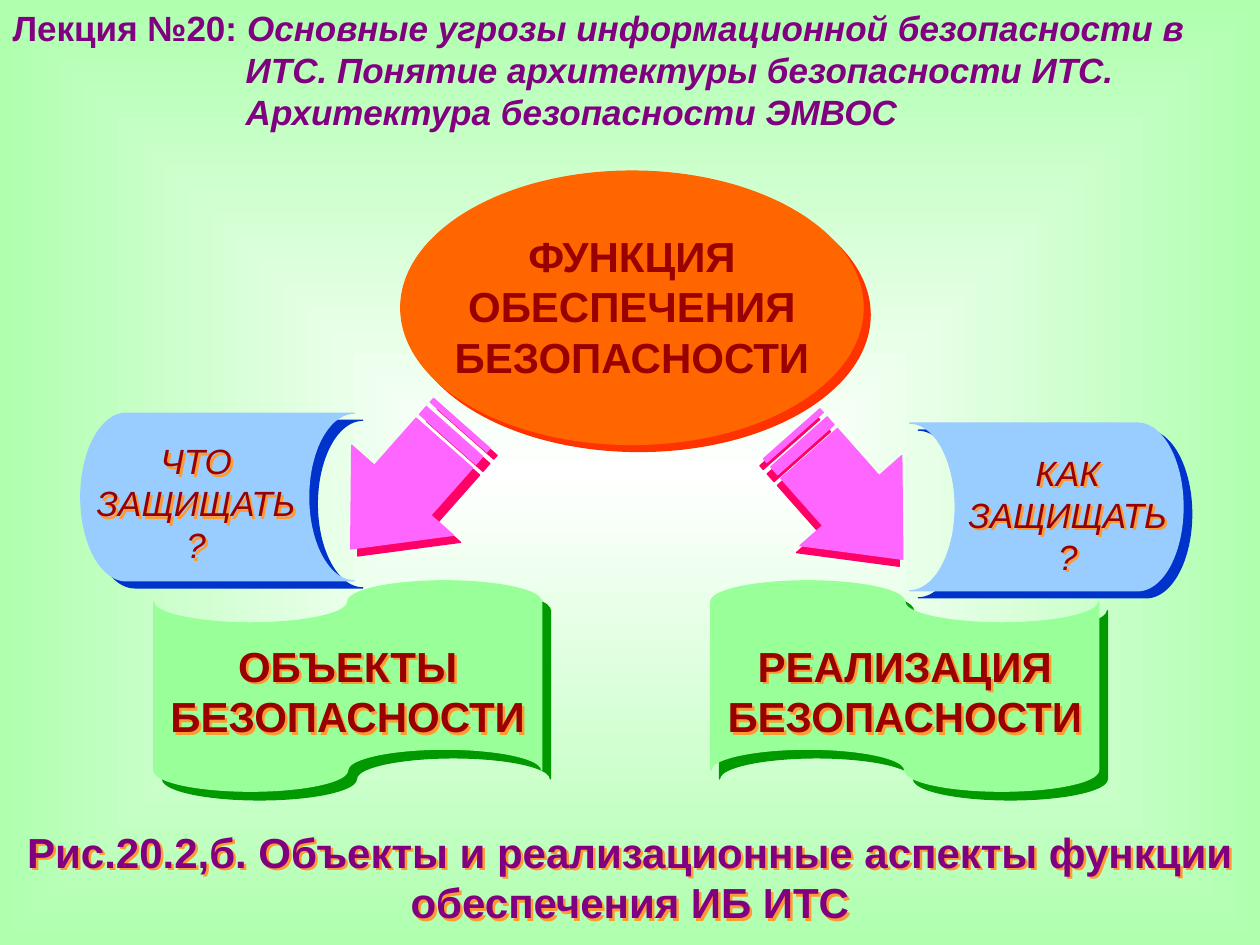
import pptx
import pptx.util
import pptx.dml.color
import pptx.enum.shapes
import pptx.enum.text
import pptx.oxml
import pptx.oxml.ns
from lxml import etree

Cm, Pt = pptx.util.Cm, pptx.util.Pt
SHAPE = pptx.enum.shapes.MSO_SHAPE
ALIGN = pptx.enum.text.PP_ALIGN
NS = pptx.oxml.ns.nsdecls("a", "p")

COLORS = {
    "purple": "800080", "maroon": "990000", "glow": "FF9933",
    "orange": "FF6600", "red": "FF3300", "pink": "FF66FF", "crimson": "FF0066",
    "mint": "99FF99", "green": "009900", "sky": "99CCFF", "blue": "0033CC",
    "center": "FFFFFF", "edge": "AFFFAF",
}

# Content; boxes are left, top, width, height in cm
LECTURE = "Лекция №20: "
TOPIC = [
    "Основные угрозы информационной безопасности в",
    "ИТС. Понятие архитектуры безопасности ИТС.",
    "Архитектура безопасности ЭМВОС",
]
CAPTION = "Рис.20.2,б. Объекты и реализационные аспекты функции обеспечения ИБ ИТС"
# preset, box, mirrored, fill, shadow colour, shadow distance (pt), shadow angle
FIGURES = [
    (SHAPE.OVAL, (8.08, 3.45, 9.32, 5.51), False, "orange", "red", 5.7, 45),
    (SHAPE.FLOWCHART_PUNCHED_TAPE, (3.1, 11.71, 7.82, 4.24), False, "mint", "green", 7.1, 45),
    (SHAPE.FLOWCHART_PUNCHED_TAPE, (14.33, 11.71, 7.82, 4.24), True, "mint", "green", 7.1, 45),
    (SHAPE.FLOWCHART_STORED_DATA, (1.63, 8.33, 5.51, 3.38), False, "sky", "blue", 6.4, 39),
    (SHAPE.FLOWCHART_STORED_DATA, (18.34, 8.53, 5.51, 3.38), True, "sky", "blue", 6.4, 39),
]
# lines, box, size, bold, italic, glowing
LABELS = [
    (["ФУНКЦИЯ", "ОБЕСПЕЧЕНИЯ", "БЕЗОПАСНОСТИ"], (7.24, 4.52, 11, 3.3), 24, True, False, False),
    (["ОБЪЕКТЫ", "БЕЗОПАСНОСТИ"], (3.1, 12.78, 7.82, 2.29), 24, True, False, True),
    (["РЕАЛИЗАЦИЯ", "БЕЗОПАСНОСТИ"], (14.33, 12.78, 7.82, 2.29), 24, True, False, True),
    (["ЧТО", "ЗАЩИЩАТЬ", "?"], (1.63, 8.74, 4.65, 2.79), 20, False, True, True),
    (["КАК", "ЗАЩИЩАТЬ", "?"], (19.2, 8.97, 4.65, 2.79), 20, False, True, True),
]
# Striped arrow pointing right, in hundredths of a cm
ARROW_LENGTH, ARROW_HEIGHT = 338, 274
ARROW_PARTS = [
    [(180, 0), (180, 61), (53, 61), (53, 213), (180, 213), (180, 274), (338, 137)],
    [(22, 61), (22, 213), (43, 213), (43, 61)],
    [(0, 61), (0, 213), (10, 213), (10, 61)],
]
# left, top, mirrored, rotation, shadow distance, shadow angle
ARROWS = [(15.39, 8.64, False, 48.5, 4.5, 117), (6.5, 8.43, True, -48.5, 5.7, 45)]


def rgb(name):
    return pptx.dml.color.RGBColor.from_string(COLORS[name])


def add_shadow(shape, color, distance, angle):
    shape.shadow.inherit = False
    effects = shape._element.spPr.find(pptx.oxml.ns.qn("a:effectLst"))
    effects.append(pptx.oxml.parse_xml(
        f'<a:outerShdw {NS} dist="{Pt(distance)}" dir="{angle * 60000}" algn="ctr" '
        f'rotWithShape="0"><a:srgbClr val="{COLORS[color]}"/></a:outerShdw>'))


def paint(shape, fill, shadow, distance, angle):
    shape.fill.solid()
    shape.fill.fore_color.rgb = rgb(fill)
    shape.line.color.rgb = rgb(fill)
    shape.line.width = Pt(0.75)
    add_shadow(shape, shadow, distance, angle)


def format_font(paragraph, size, color, bold, italic):
    font = paragraph.font
    font.name, font.size, font.bold, font.italic = "Arial", Pt(size), bold, italic
    font.color.rgb = rgb(color)


def add_label(slide, lines, area, size, bold, italic, glowing, color="maroon"):
    box = slide.shapes.add_textbox(*map(Cm, area))
    frame = box.text_frame
    frame.word_wrap = True
    frame.text = "\n".join(lines)
    for paragraph in frame.paragraphs:
        paragraph.alignment = ALIGN.CENTER
        format_font(paragraph, size, color, bold, italic)
    if glowing:
        add_shadow(box, "glow", 2, 45)
    return frame


def add_arrow(slide, left, top, mirrored, rotation, distance, angle):
    parts = [[(ARROW_LENGTH - x if mirrored else x, y) for x, y in part]
             for part in ARROW_PARTS]
    builder = slide.shapes.build_freeform(*parts[0][0], scale=Cm(0.01))
    for number, part in enumerate(parts):
        if number:
            builder.move_to(*part[0])
        builder.add_line_segments(part[1:], close=True)
    arrow = builder.convert_to_shape(Cm(left), Cm(top))
    arrow.rotation = rotation
    paint(arrow, "pink", "crimson", distance, angle)


def set_background(slide):
    stops = "".join(f'<a:gs pos="{position}"><a:srgbClr val="{COLORS[name]}"/></a:gs>'
                    for position, name in ((0, "center"), (100000, "edge")))
    slide._element.cSld.insert(0, pptx.oxml.parse_xml(
        f'<p:bg {NS}><p:bgPr><a:gradFill rotWithShape="0"><a:gsLst>{stops}</a:gsLst>'
        '<a:path path="shape"><a:fillToRect l="50000" t="50000" r="50000" b="50000"/>'
        '</a:path></a:gradFill><a:effectLst/></p:bgPr></p:bg>'))


def fill_title(title):
    title.left, title.top, title.width, title.height = map(Cm, (0, 0, 25.4, 2.8))
    frame = title.text_frame
    frame.word_wrap = True
    frame.auto_size = pptx.enum.text.MSO_AUTO_SIZE.NONE
    frame.vertical_anchor = pptx.enum.text.MSO_ANCHOR.TOP
    for number, line in enumerate(TOPIC):
        paragraph = frame.add_paragraph() if number else frame.paragraphs[0]
        paragraph.alignment = ALIGN.LEFT
        if number:
            paragraph._p.get_or_add_pPr().set("marL", str(Cm(4.7)))
        else:
            paragraph.add_run().text = LECTURE
        format_font(paragraph, 20, "purple", True, None)
        span = paragraph.add_run()
        span.text = line
        span.font.italic = True


def main():
    deck = pptx.Presentation()
    deck.slide_width, deck.slide_height = Cm(25.4), Cm(19.05)
    slide = deck.slides.add_slide(deck.slide_layouts[5])
    set_background(slide)
    fill_title(slide.shapes.title)

    # Figures and arrows
    for preset, area, mirrored, *style in FIGURES:
        figure = slide.shapes.add_shape(preset, *map(Cm, area))
        if mirrored:
            figure._element.spPr.xfrm.set("flipH", "1")
        paint(figure, *style)
    for arrow in ARROWS:
        add_arrow(slide, *arrow)

    # Labels and caption
    for label in LABELS:
        add_label(slide, *label)
    caption = add_label(slide, [CAPTION], (0, 16.66, 25.4, 2.03), 24, True, False, True, "purple")
    caption.margin_left = caption.margin_right = Cm(0.05)
    caption.margin_top = caption.margin_bottom = 0

    deck.save("out.pptx")


if __name__ == "__main__":
    main()
